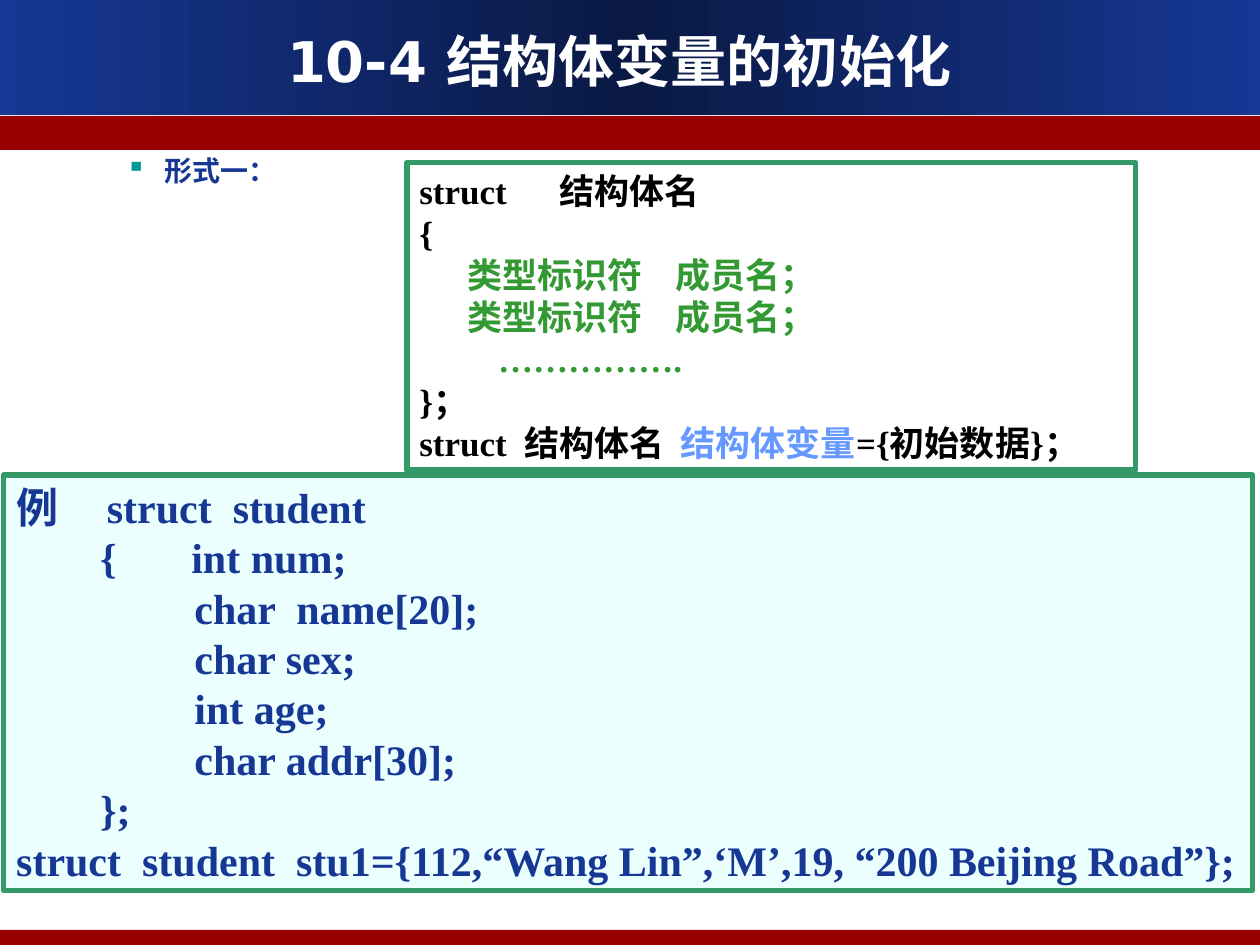
from copy import deepcopy
from dataclasses import dataclass
from typing import Optional

from lxml import etree
from pptx import Presentation
from pptx.dml.color import RGBColor
from pptx.enum import shapes, text
from pptx.oxml.ns import qn
from pptx.util import Inches, Pt


@dataclass(frozen=True)
class Theme:
    navy: str = "163794"
    night: str = "0A1944"
    red: str = "990000"
    border: str = "339966"
    member: str = "339933"
    variable: str = "6699FF"
    pale: str = "EBFFFF"
    bullet: str = "009999"
    black: str = "000000"
    white: str = "FFFFFF"
    serif: str = "Times New Roman"
    sans: str = "Arial"
    heading: str = "DejaVu Sans"
    title_size: int = 32
    example_size: int = 24
    syntax_size: int = 20
    bullet_size: int = 16
    border_width: int = 3


T = Theme()


@dataclass(frozen=True)
class Box:
    left: float
    top: float
    width: float
    height: float

    def emu(self) -> list:
        return [Inches(v) for v in (self.left, self.top, self.width, self.height)]


@dataclass(frozen=True)
class Line:
    """A code line: (text, colour) runs and the tab stops they use."""
    runs: tuple
    tabs: tuple = ()


@dataclass(frozen=True)
class CodePanel:
    box: Box
    lines: tuple
    size: int
    fill: Optional[str] = None


def set_font(font, size: int, name: str, color: str) -> None:
    for key, value in {"size": Pt(size), "name": name, "bold": True}.items():
        setattr(font, key, value)
    font.color.rgb = RGBColor.from_string(color)


def set_frame(tf, **options) -> None:
    for key, value in options.items():
        setattr(tf, key, value)


def add_rect(s, box: Box, fill: Optional[str] = None, line: Optional[str] = None):
    sp = s.shapes.add_shape(shapes.MSO_SHAPE.RECTANGLE, *box.emu())
    sp.shadow.inherit = False
    if fill:
        sp.fill.solid()
        sp.fill.fore_color.rgb = RGBColor.from_string(fill)
    else:
        sp.fill.background()
    if line:
        sp.line.color.rgb = RGBColor.from_string(line)
        sp.line.width = Pt(T.border_width)
    else:
        sp.line.fill.background()
    return sp


def add_header(s, box: Box) -> None:
    fill = add_rect(s, box, T.navy).fill
    fill.gradient()
    fill.gradient_angle = 0
    stops = fill.gradient_stops
    last = stops[1]._gs
    last.addnext(deepcopy(last))
    colors = (T.navy, T.night, T.navy)
    for i, (stop, color) in enumerate(zip(fill.gradient_stops, colors)):
        stop.position = i / 2
        stop.color.rgb = RGBColor.from_string(color)


def add_tabs(p, stops: tuple) -> None:
    if stops:
        tabs = etree.SubElement(p._p.get_or_add_pPr(), qn("a:tabLst"))
        for stop in stops:
            etree.SubElement(tabs, qn("a:tab"), pos=str(Inches(stop)), algn="l")


def add_code_panel(s, panel: CodePanel) -> None:
    tf = add_rect(s, panel.box, panel.fill, T.border).text_frame
    set_frame(tf, word_wrap=False, vertical_anchor=text.MSO_ANCHOR.MIDDLE,
              auto_size=text.MSO_AUTO_SIZE.SHAPE_TO_FIT_TEXT)
    for i, line in enumerate(panel.lines):
        p = tf.add_paragraph() if i else tf.paragraphs[0]
        p.alignment = text.PP_ALIGN.LEFT
        add_tabs(p, line.tabs)
        for words, color in line.runs:
            r = p.add_run()
            r.text = words
            set_font(r.font, panel.size, T.serif, color)


def add_bullet(s, box: Box, words: str) -> None:
    tf = s.shapes.add_textbox(*box.emu()).text_frame
    tf.word_wrap = True
    p = tf.paragraphs[0]
    p.text = words
    pPr = p._p.get_or_add_pPr()
    pPr.set("marL", str(Inches(0.81)))
    pPr.set("indent", str(Inches(-0.31)))
    color = etree.SubElement(pPr, qn("a:buClr"))
    etree.SubElement(color, qn("a:srgbClr"), val=T.bullet)
    etree.SubElement(pPr, qn("a:buChar"), char="▪")
    set_font(p.runs[0].font, T.bullet_size, T.sans, T.navy)


def set_title(s, box: Box, words: str) -> None:
    sp = s.shapes.title
    sp.left, sp.top, sp.width, sp.height = box.emu()
    s.shapes._spTree.append(sp._element)  # bring in front of the header
    tf = sp.text_frame
    set_frame(tf, text=words, word_wrap=True, auto_size=text.MSO_AUTO_SIZE.NONE,
              vertical_anchor=text.MSO_ANCHOR.MIDDLE)
    p = tf.paragraphs[0]
    p.alignment = text.PP_ALIGN.CENTER
    set_font(p.runs[0].font, T.title_size, T.heading, T.white)


def plain(words: str, *tabs: float, color: str = T.black) -> Line:
    return Line(((words, color),), tabs)


MEMBER = plain("      类型标识符\t成员名；", 2.03, color=T.member)
SYNTAX = CodePanel(Box(3.23, 1.29, 5.78, 2.44), (
    plain("struct\t结构体名", 1.11),
    plain("{"),
    MEMBER,
    MEMBER,
    plain("         …………….", color=T.member),
    plain("}；"),
    Line((("struct  结构体名  ", T.black), ("结构体变量", T.variable),
          ("={初始数据}；", T.black))),
), T.syntax_size)

FIELDS = ("char  name[20];", "char sex;", "int age;", "char addr[30];")
EXAMPLE = CodePanel(Box(0.03, 3.77, 9.91, 3.3), (
    plain("例\tstruct  student", 0.72, color=T.navy),
    plain("        {\tint num;", 1.39, color=T.navy),
    *(plain(" " * 17 + field, color=T.navy) for field in FIELDS),
    plain("        };", color=T.navy),
    plain("struct  student  stu1={112,“Wang Lin”,‘M’,19, “200 Beijing Road”};",
          color=T.navy),
), T.example_size, T.pale)


def main() -> None:
    prs = Presentation()
    prs.slide_width, prs.slide_height = Inches(10), Inches(7.5)
    s = prs.slides.add_slide(prs.slide_layouts[5])

    # Header and red bands
    add_header(s, Box(0, 0, 10, 0.91))
    for band in (Box(0, 0.92, 10, 0.27), Box(0, 7.38, 10, 0.12)):
        add_rect(s, band, T.red)

    # Syntax form and worked example
    add_bullet(s, Box(0.4, 1.17, 2.7, 0.4), "形式一：")
    for panel in (SYNTAX, EXAMPLE):
        add_code_panel(s, panel)

    # Title
    set_title(s, Box(0.29, 0.16, 9.25, 0.63), "10-4 结构体变量的初始化")
    prs.save("out.pptx")


if __name__ == "__main__":
    main()
